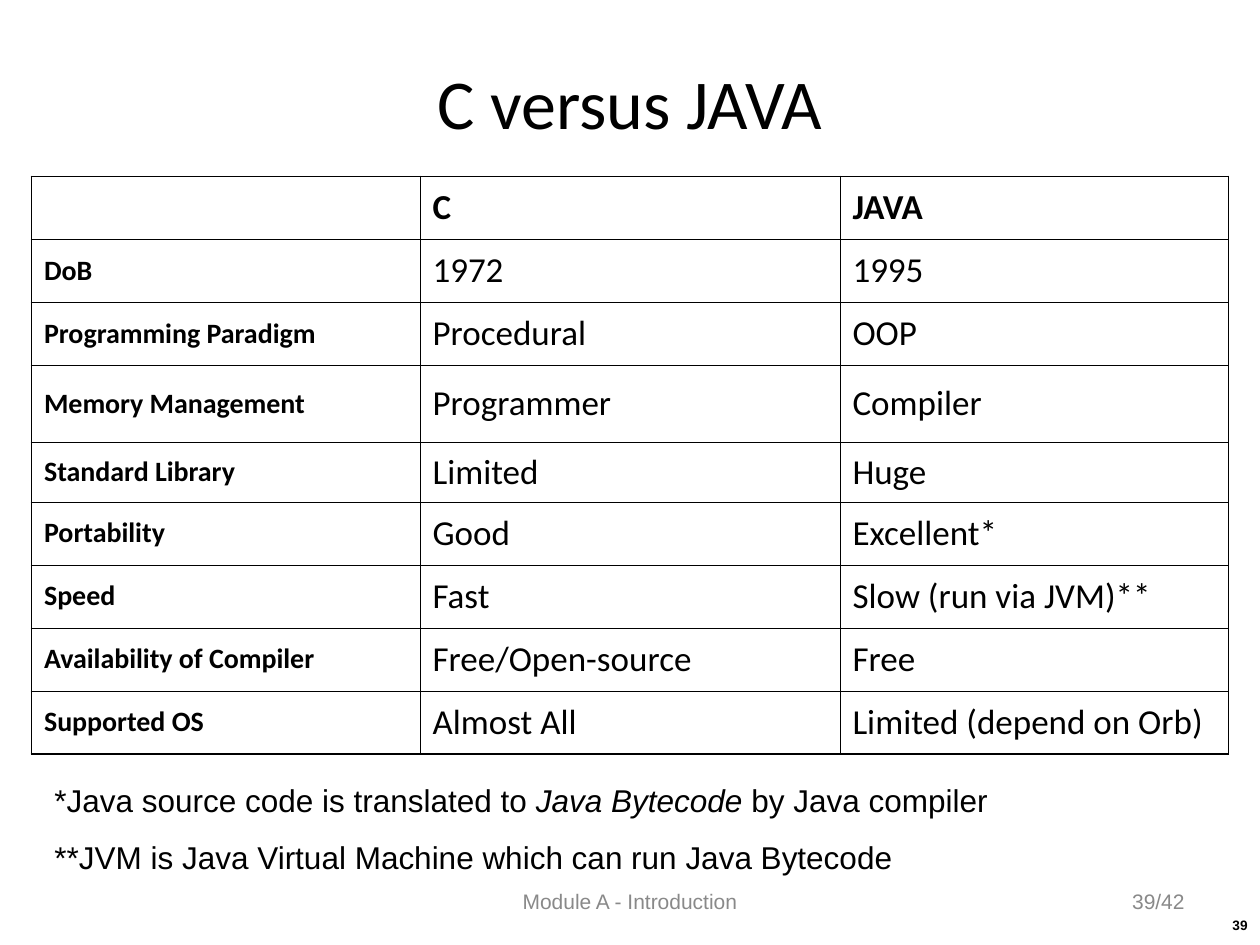
import pptx
import pptx.dml.color
import pptx.enum.text
import pptx.oxml.ns
import pptx.util
from lxml import etree

Pt = pptx.util.Pt
ALIGN = pptx.enum.text.PP_ALIGN
ANCHOR = pptx.enum.text.MSO_ANCHOR
COLORS = {"ink": "000000", "muted": "898989"}
OUTER, INNER = 1.08, 0.45

ROWS = [
    ("", "C", "JAVA"),
    ("DoB", "1972", "1995"),
    ("Programming Paradigm", "Procedural", "OOP"),
    ("Memory Management", "Programmer", "Compiler"),
    ("Standard Library", "Limited", "Huge"),
    ("Portability", "Good", "Excellent*"),
    ("Speed", "Fast", "Slow (run via JVM)**"),
    ("Availability of Compiler", "Free/Open-source", "Free"),
    ("Supported OS", "Almost All", "Limited (depend on Orb)"),
]
COL_WIDTHS = [222, 240, 222]
ROW_HEIGHTS = [36, 36, 36, 44, 34, 36, 36, 36, 36]
FOOTNOTES = [
    [("*Java source code is translated to ", False), ("Java Bytecode ", True),
     ("by Java compiler", False)],
    [("**JVM is Java Virtual Machine which can run Java Bytecode", False)],
]


def write(tf, paragraphs, size, font="Arial", color="ink", bold=False,
          align=ALIGN.LEFT, before=0, line_spacing=None):
    """Fill a text frame; each paragraph is a string or a list of (text, italic)."""
    for i, runs in enumerate(paragraphs):
        p = tf.paragraphs[0] if i == 0 else tf.add_paragraph()
        p.alignment = align
        p.space_before = Pt(before)
        if line_spacing:
            p.line_spacing = line_spacing
        for text, italic in [(runs, False)] if isinstance(runs, str) else runs:
            r = p.add_run()
            r.text = text
            r.font.size = Pt(size)
            r.font.name = font
            r.font.bold = bold
            r.font.italic = italic
            r.font.color.rgb = pptx.dml.color.RGBColor.from_string(COLORS[color])


def add_text(s, box, paragraphs, anchor=ANCHOR.MIDDLE, **fmt):
    tf = s.shapes.add_textbox(*map(Pt, box)).text_frame
    tf.word_wrap = True
    tf.vertical_anchor = anchor
    write(tf, paragraphs, **fmt)


def set_borders(cell, widths):
    """Draw the cell's edges; widths maps L, R, T and B to points."""
    qn = pptx.oxml.ns.qn
    tc_pr = cell._tc.get_or_add_tcPr()
    for side, width in widths.items():
        ln = etree.SubElement(tc_pr, qn(f"a:ln{side}"), w=str(int(Pt(width))))
        fill = etree.SubElement(ln, qn("a:solidFill"))
        etree.SubElement(fill, qn("a:srgbClr"), val=COLORS["ink"])


def add_comparison(s, left, top):
    table = s.shapes.add_table(
        len(ROWS), len(COL_WIDTHS), Pt(left), Pt(top),
        Pt(sum(COL_WIDTHS)), Pt(sum(ROW_HEIGHTS))).table
    table.first_row = table.horz_banding = False
    for column, width in zip(table.columns, COL_WIDTHS):
        column.width = Pt(width)
    for row, height in zip(table.rows, ROW_HEIGHTS):
        row.height = Pt(height)

    last_row, last_col = len(ROWS) - 1, len(COL_WIDTHS) - 1
    for i, values in enumerate(ROWS):
        for j, value in enumerate(values):
            cell = table.cell(i, j)
            set_borders(cell, {
                "L": OUTER if j == 0 else INNER,
                "R": OUTER if j == last_col else INNER,
                "T": OUTER if i == 0 else INNER,
                "B": OUTER if i == last_row else INNER,
            })
            cell.fill.background()
            cell.vertical_anchor = ANCHOR.MIDDLE
            if value:
                label = j == 0
                write(cell.text_frame, [value], size=16 if label else 20,
                      font="Calibri", bold=label or i == 0,
                      before=4 if label else 5)


def add_footer(s, left, top, height):
    add_text(s, (left, top, 228, height), ["Module A - Introduction"],
             size=12, color="muted", align=ALIGN.CENTER)
    add_text(s, (left + 270, top, 168, height), ["39/42"],
             size=12, color="muted", align=ALIGN.RIGHT)
    add_text(s, (left + 324, top + 21.6, 150, 18), ["39"], anchor=ANCHOR.TOP,
             size=7.8, bold=True, align=ALIGN.RIGHT, line_spacing=0.8)


def main():
    prs = pptx.Presentation()
    prs.slide_width, prs.slide_height = Pt(720), Pt(540)
    s = prs.slides.add_slide(prs.slide_layouts[6])
    add_footer(s, 246, 500.4, 28.8)
    add_text(s, (36, 30, 648, 56), ["C versus JAVA"],
             size=40, font="Calibri", align=ALIGN.CENTER)
    add_comparison(s, 18, 100.8)
    add_text(s, (24, 442.8, 660, 62), FOOTNOTES, anchor=ANCHOR.TOP,
             size=18, before=11.2)
    prs.save("out.pptx")


if __name__ == "__main__":
    main()
